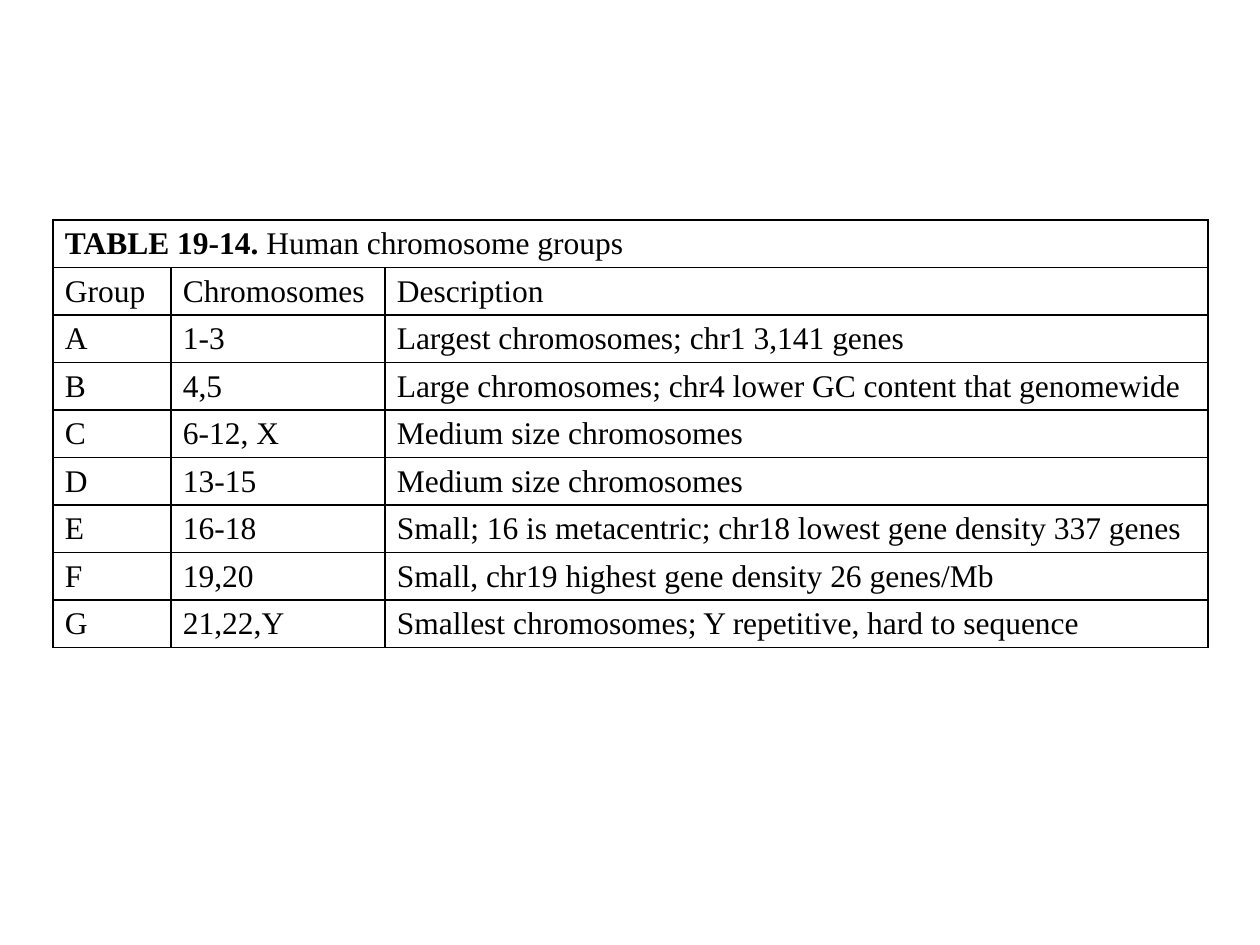
from lxml import etree
from pptx import Presentation
from pptx.dml.color import RGBColor
from pptx.enum.text import MSO_ANCHOR, PP_ALIGN
from pptx.oxml.ns import qn
from pptx.util import Pt

PX = 914400 // 126
BLACK = "000000"
TITLE = [("TABLE 19-14.", True), (" Human chromosome groups", False)]
ROWS = [
    ("Group", "Chromosomes", "Description"),
    ("A", "1-3", "Largest chromosomes; chr1 3,141 genes"),
    ("B", "4,5", "Large chromosomes; chr4 lower GC content that genomewide"),
    ("C", "6-12, X", "Medium size chromosomes"),
    ("D", "13-15", "Medium size chromosomes"),
    ("E", "16-18", "Small; 16 is metacentric; chr18 lowest gene density 337 genes"),
    ("F", "19,20", "Small, chr19 highest gene density 26 genes/Mb"),
    ("G", "21,22,Y", "Smallest chromosomes; Y repetitive, hard to sequence"),
]
LEFT, TOP, HEIGHT = 53, 220, 428
COLS = [118, 214, 823]
CELL = {
    "margin_left": 12 * PX,
    "margin_right": 12 * PX,
    "margin_top": 5 * PX,
    "margin_bottom": 5 * PX,
    "vertical_anchor": MSO_ANCHOR.MIDDLE,
}


def rgb(value):
    return RGBColor.from_string(value)


def add_borders(cell):
    tc_pr = cell._tc.get_or_add_tcPr()
    for i, side in enumerate(("lnL", "lnR", "lnT", "lnB")):
        ln = etree.Element(qn("a:" + side), w=str(Pt(1)))
        fill = etree.SubElement(ln, qn("a:solidFill"))
        etree.SubElement(fill, qn("a:srgbClr"), val=BLACK)
        tc_pr.insert(i, ln)


def write(cell, runs):
    p = cell.text_frame.paragraphs[0]
    p.alignment = PP_ALIGN.JUSTIFY
    for text, bold in runs:
        r = p.add_run()
        r.text = text
        font = {"name": "Times New Roman", "size": Pt(18), "bold": bold}
        for key, value in font.items():
            setattr(r.font, key, value)
        r.font.color.rgb = rgb(BLACK)


def main():
    prs = Presentation()
    prs.slide_width, prs.slide_height = 1260 * PX, 945 * PX
    s = prs.slides.add_slide(prs.slide_layouts[6])
    table = s.shapes.add_table(
        len(ROWS) + 1, len(COLS), LEFT * PX, TOP * PX, sum(COLS) * PX, HEIGHT * PX
    ).table
    table.first_row = table.horz_banding = False
    for column, width in zip(table.columns, COLS):
        column.width = width * PX
    for cell in table.iter_cells():
        for key, value in CELL.items():
            setattr(cell, key, value)
        cell.fill.background()
        add_borders(cell)

    table.cell(0, 0).merge(table.cell(0, len(COLS) - 1))
    write(table.cell(0, 0), TITLE)
    for i, row in enumerate(ROWS, 1):
        for j, text in enumerate(row):
            write(table.cell(i, j), [(text, False)])
    prs.save("out.pptx")


if __name__ == "__main__":
    main()
